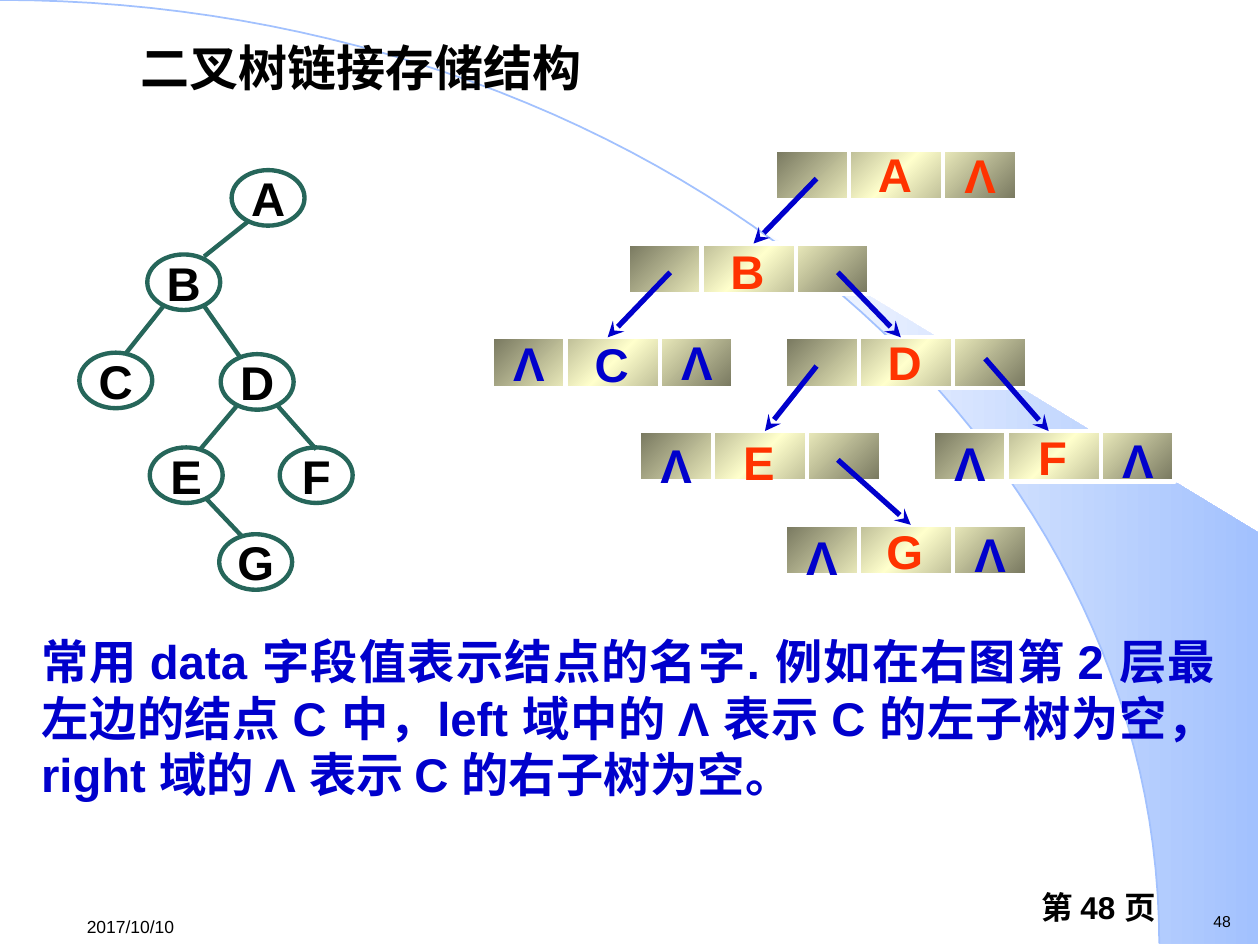
import math
from dataclasses import dataclass
from typing import Optional

import lxml.etree
import pptx
import pptx.dml.color
import pptx.enum.shapes
import pptx.enum.text
import pptx.oxml
import pptx.oxml.ns
import pptx.util

Cm, Pt = pptx.util.Cm, pptx.util.Pt
ALIGN, ANCHOR = pptx.enum.text.PP_ALIGN, pptx.enum.text.MSO_ANCHOR
SHAPE = pptx.enum.shapes.MSO_SHAPE
STRAIGHT = pptx.enum.shapes.MSO_CONNECTOR.STRAIGHT


@dataclass(frozen=True)
class Theme:
    black: str = "000000"
    white: str = "FFFFFF"
    sky: str = "A2C1FE"
    olive: str = "76765E"
    cream: str = "FFFFCC"
    green: str = "26665A"
    blue: str = "0000CC"
    red: str = "FF3300"
    font: str = "Arial"
    title_font: str = "Times New Roman"
    title: float = 28
    text: float = 27
    page: float = 18
    date: float = 10
    number: float = 9
    line: float = 2.5
    pointer: float = 3


T = Theme()


@dataclass(frozen=True)
class Circle:
    """Node of the drawn tree; lengths in cm."""
    name: str
    x: float
    y: float


@dataclass(frozen=True)
class Edge:
    parent: str
    child: str
    side: int  # -1 left child, 1 right child
    end_dx: float  # from the child's centre


@dataclass(frozen=True)
class Record:
    """Linked node; null offsets are None where the field holds a pointer."""
    name: str
    x: float
    row: int
    color: str = T.red
    name_dy: float = 0
    left_null: Optional[float] = None
    right_null: Optional[float] = None


@dataclass(frozen=True)
class Pointer:
    parent: str
    child: str
    start_dx: float
    end_dx: float
    start_dy: float = 0.58


CIRCLE_W, CIRCLE_H = 1.47, 1.12
CIRCLES = [Circle("A", 4.67, 3.43), Circle("B", 2.97, 5.13), Circle("C", 1.6, 7.11),
           Circle("D", 4.45, 7.14), Circle("E", 3.02, 9.02), Circle("F", 5.64, 9.02),
           Circle("G", 4.42, 10.77)]
EDGES = [Edge("A", "B", -1, 0.41), Edge("B", "C", -1, 0.18), Edge("B", "D", 1, -0.36),
         Edge("D", "E", -1, 0.28), Edge("D", "F", 1, 0), Edge("E", "G", 1, -0.28)]

RECORD_W, RECORD_H, RECORD_TOP, ROW_STEP = 4.88, 1.02, 3.02, 1.89
DIVIDERS = (1.49, 3.39)
LEFT_MID, NAME_MID, RIGHT_MID = 0.75, 2.42, 4.14
RECORDS = [Record("A", 15.62, 0, name_dy=-0.02, right_null=0),
           Record("B", 12.65, 1, name_dy=0.04),
           Record("C", 9.91, 2, T.blue, 0.02, 0, -0.02),
           Record("D", 15.82, 2, name_dy=-0.02),
           Record("E", 12.88, 3, name_dy=0.1, left_null=0.16),
           Record("F", 18.8, 3, left_null=0.12, right_null=0.06),
           Record("G", 15.82, 4, name_dy=0.02, left_null=0.14, right_null=0.08)]
POINTERS = [Pointer("A", "B", 0.84, 2.54), Pointer("B", "C", 0.86, 2.34),
            Pointer("B", "D", 4.24, 2.34), Pointer("D", "E", 0.64, 2.54),
            Pointer("D", "F", 4.04, 2.34, 0.43), Pointer("E", "G", 4.01, 2.54)]


def rgb(color: str):
    return pptx.dml.color.RGBColor.from_string(color)


def write(sp, text: str, size: float, color: str = T.black, bold: bool = False,
          align=ALIGN.LEFT, anchor=ANCHOR.TOP, font: str = T.font, inset: Optional[float] = None):
    tf = sp.text_frame
    tf.word_wrap, tf.vertical_anchor = True, anchor
    if inset is not None:
        tf.margin_left = tf.margin_right = tf.margin_top = tf.margin_bottom = Cm(inset)
    p = tf.paragraphs[0]
    p.text, p.alignment = text, align
    p.font.name, p.font.size, p.font.bold = font, Pt(size), bold
    p.font.color.rgb = rgb(color)
    return p


def textbox(s, x: float, y: float, w: float, h: float, text: str, size: float, **style):
    return write(s.shapes.add_textbox(Cm(x), Cm(y), Cm(w), Cm(h)), text, size, **style)


def letter(s, x: float, y: float, text: str, color: str) -> None:
    """Bold letter centred on a point."""
    textbox(s, x - 0.6, y - 0.55, 1.2, 1.1, text, T.text, color=color, bold=True,
            align=ALIGN.CENTER, anchor=ANCHOR.MIDDLE, inset=0)


def line(s, x1: float, y1: float, x2: float, y2: float, color: str, width: float,
         arrow: bool = False) -> None:
    c = s.shapes.add_connector(STRAIGHT, Cm(x1), Cm(y1), Cm(x2), Cm(y2))
    c.line.color.rgb, c.line.width = rgb(color), Pt(width)
    if arrow:
        tail = lxml.etree.SubElement(c.line._get_or_add_ln(), pptx.oxml.ns.qn("a:tailEnd"))
        tail.set("type", "stealth")
    lxml.etree.SubElement(c._element.spPr, pptx.oxml.ns.qn("a:effectLst"))


def gradient(sp, colors: list[str], angle: int) -> None:
    """Evenly spaced linear gradient, angle clockwise in degrees."""
    stops = "".join(f'<a:gs pos="{100000 * i // (len(colors) - 1)}"><a:srgbClr val="{c}"/></a:gs>'
                    for i, c in enumerate(colors))
    fill = pptx.oxml.parse_xml(f'<a:gradFill {pptx.oxml.ns.nsdecls("a")}><a:gsLst>{stops}</a:gsLst>'
                               f'<a:lin ang="{angle * 60000}" scaled="0"/></a:gradFill>')
    geometry = sp._element.spPr.find(pptx.oxml.ns.qn("a:prstGeom"))
    if geometry is None:
        geometry = sp._element.spPr.find(pptx.oxml.ns.qn("a:custGeom"))
    geometry.addnext(fill)


def arc(start: float) -> list[tuple[int, int]]:
    """Points of the backdrop's quarter ellipse, from a start angle to 90 degrees."""
    angles = [math.radians(start + (90 - start) * i / 60) for i in range(61)]
    return [(Cm(23.37 * math.sin(a)), Cm(19.02 * (1 - math.cos(a)))) for a in angles]


def freeform(s, points: list[tuple[int, int]], close: bool):
    builder = s.shapes.build_freeform(*points[0])
    builder.add_line_segments(points[1:], close=close)
    sp = builder.convert_to_shape()
    sp.shadow.inherit = False
    return sp


def backdrop(s) -> None:
    wedge = freeform(s, arc(39.8) + [(Cm(25.37), Cm(19.02)), (Cm(25.37), Cm(10.74))], True)
    gradient(wedge, [T.white, T.sky], 0)
    wedge.line.fill.background()
    curve = freeform(s, arc(0), False)
    curve.fill.background()
    curve.line.color.rgb, curve.line.width = rgb(T.sky), Pt(1)


def draw_circle(s, c: Circle) -> None:
    sp = s.shapes.add_shape(SHAPE.OVAL, Cm(c.x), Cm(c.y), Cm(CIRCLE_W), Cm(CIRCLE_H))
    sp.shadow.inherit = False
    sp.fill.background()
    sp.line.color.rgb, sp.line.width = rgb(T.green), Pt(T.line)
    write(sp, c.name, T.text, bold=True, align=ALIGN.CENTER, anchor=ANCHOR.MIDDLE, inset=0)


def draw_record(s, rec: Record) -> None:
    y = RECORD_TOP + rec.row * ROW_STEP
    sp = s.shapes.add_shape(SHAPE.RECTANGLE, Cm(rec.x), Cm(y), Cm(RECORD_W), Cm(RECORD_H))
    sp.shadow.inherit = False
    gradient(sp, [T.olive, T.cream, T.olive], 45)
    sp.line.color.rgb, sp.line.width = rgb(T.white), Pt(T.line)
    for dx in DIVIDERS:
        line(s, rec.x + dx, y, rec.x + dx, y + RECORD_H, T.white, T.line)
    mid = y + RECORD_H / 2
    letter(s, rec.x + NAME_MID, mid + rec.name_dy, rec.name, rec.color)
    null_color = T.red if rec.row == 0 else T.blue
    for dx, dy in ((LEFT_MID, rec.left_null), (RIGHT_MID, rec.right_null)):
        if dy is not None:
            letter(s, rec.x + dx, mid + dy, "Λ", null_color)


def main() -> None:
    prs = pptx.Presentation()
    prs.slide_width, prs.slide_height = Cm(25.4), Cm(19.05)
    s = prs.slides.add_slide(prs.slide_layouts[5])
    backdrop(s)

    # Title, in front of the backdrop
    title = s.shapes.title
    s.shapes._spTree.append(title._element)
    title.left, title.top, title.width, title.height = Cm(0.64), Cm(0.41), Cm(13.28), Cm(1.57)
    p = write(title, "二叉树链接存储结构", T.title, bold=True, align=ALIGN.CENTER, font=T.title_font)
    p.line_spacing = Pt(40)
    title.text_frame.auto_size = pptx.enum.text.MSO_AUTO_SIZE.NONE

    # Tree on the left
    circles = {c.name: c for c in CIRCLES}
    for e in EDGES:
        a, b = circles[e.parent], circles[e.child]
        line(s, a.x + CIRCLE_W / 2 + e.side * 0.41, a.y + CIRCLE_H / 2 + 0.48,
             b.x + CIRCLE_W / 2 + e.end_dx, b.y + 0.04, T.green, T.line)
    for c in CIRCLES:
        draw_circle(s, c)

    # Linked records on the right
    records = {rec.name: rec for rec in RECORDS}
    for rec in RECORDS:
        draw_record(s, rec)
    for ptr in POINTERS:
        a, b = records[ptr.parent], records[ptr.child]
        line(s, a.x + ptr.start_dx, RECORD_TOP + a.row * ROW_STEP + ptr.start_dy,
             b.x + ptr.end_dx, RECORD_TOP + b.row * ROW_STEP, T.blue, T.pointer, arrow=True)

    # Explanation and footer
    textbox(s, 0.58, 12.62, 24.16, 3.73,
            "常用 data 字段值表示结点的名字. 例如在右图第 2 层最左边的结点 C 中，left 域中的 Λ 表示 "
            "C 的左子树为空，right 域的 Λ 表示 C 的右子树为空。",
            T.text, color=T.blue, bold=True, align=ALIGN.JUSTIFY)
    textbox(s, 20.75, 17.78, 4.65, 1.27, "第 48 页", T.page, bold=True)
    textbox(s, 1.5, 18.29, 2.59, 0.76, "2017/10/10", T.date, anchor=ANCHOR.MIDDLE)
    textbox(s, 24.21, 18.26, 1.1, 0.64, "48", T.number)
    prs.save("out.pptx")


if __name__ == "__main__":
    main()
